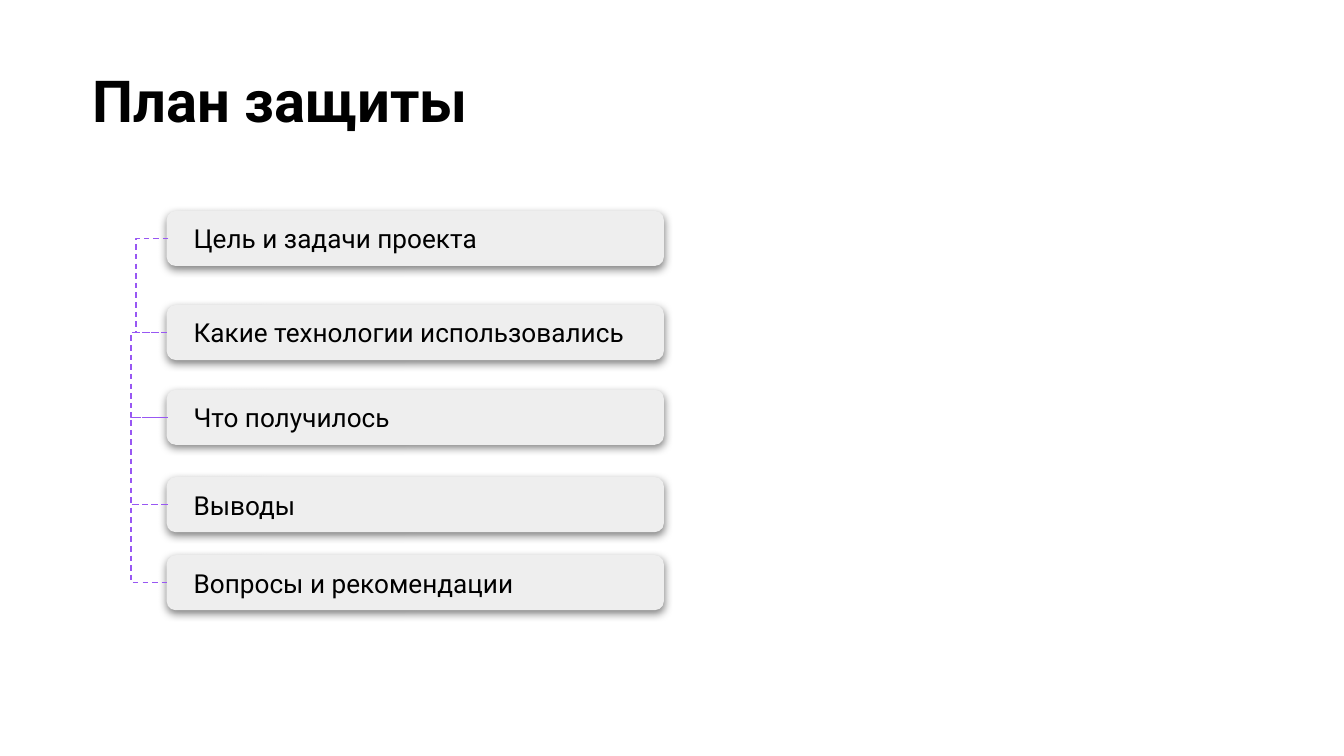
from dataclasses import dataclass
from itertools import pairwise

from lxml import etree
from pptx import Presentation
from pptx import util as u
from pptx.dml import color as c
from pptx.enum import dml, shapes, text
from pptx.oxml import ns, parse_xml


@dataclass(frozen=True)
class Theme:
    """Hold the colours, font and type sizes of the slide."""
    ink: str = "000000"
    card: str = "EEEEEE"
    link: str = "9857F3"
    font: str = "Roboto"
    head: float = 31
    body: float = 14


THEME = Theme()
LEFT, WIDTH, HIGH = 89.3, 266.4, 29.5
STEPS = [
    ("Цель и задачи проекта", 113),
    ("Какие технологии использовались", 163.4),
    ("Что получилось", 208.8),
    ("Выводы", 255.6),
    ("Вопросы и рекомендации", 297.4),
]


def rgb(code):
    """Turn a hex code into a colour."""
    return c.RGBColor.from_string(code)


def write(frame, words, size, side=7.2, bold=False):
    """Put one left-aligned run into a text frame."""
    frame.word_wrap = True
    frame.margin_left = frame.margin_right = u.Pt(side)
    frame.margin_top = frame.margin_bottom = u.Pt(7.2)
    para = frame.paragraphs[0]
    para.alignment = text.PP_ALIGN.LEFT
    run = para.add_run()
    run.text = words
    run.font.name = THEME.font
    run.font.size = u.Pt(size)
    run.font.bold = bold
    run.font.color.rgb = rgb(THEME.ink)


def shade(shape):
    """Give a shape a soft shadow that falls straight down."""
    shape.shadow.inherit = False
    effect = shape._element.spPr.find(ns.qn("a:effectLst"))
    effect.append(parse_xml(
        f'<a:outerShdw {ns.nsdecls("a")} blurRad="{u.Pt(4.5)}" '
        f'dist="{u.Pt(1.5)}" dir="5400000" algn="bl" rotWithShape="0">'
        f'<a:srgbClr val="{THEME.ink}"><a:alpha val="50000"/></a:srgbClr>'
        '</a:outerShdw>'))


def add_title(slide, words):
    """Add the slide heading."""
    box = slide.shapes.add_textbox(u.Pt(42.5), u.Pt(27.4), u.Pt(671), u.Pt(51.8))
    write(box.text_frame, words, THEME.head, bold=True)


def add_card(slide, words, top):
    """Add one rounded step of the plan."""
    card = slide.shapes.add_shape(
        shapes.MSO_SHAPE.ROUNDED_RECTANGLE,
        u.Pt(LEFT), u.Pt(top), u.Pt(WIDTH), u.Pt(HIGH))
    card.fill.solid()
    card.fill.fore_color.rgb = rgb(THEME.card)
    card.line.fill.background()
    shade(card)
    card.text_frame.vertical_anchor = text.MSO_ANCHOR.MIDDLE
    write(card.text_frame, words, THEME.body, side=13)


def add_link(slide, start, end, bend):
    """Join two points with a dashed elbow that turns at the x of bend."""
    link = slide.shapes.add_connector(
        shapes.MSO_CONNECTOR.ELBOW, *(u.Pt(n) for n in start + end))
    link.line.color.rgb = rgb(THEME.link)
    link.line.width = u.Pt(0.75)
    link.line.dash_style = dml.MSO_LINE.DASH
    props = link._element.spPr
    etree.SubElement(props, ns.qn("a:effectLst"))
    ratio = (bend - start[0]) / (end[0] - start[0])
    guides = props.find(ns.qn("a:prstGeom")).get_or_add_avLst()
    etree.SubElement(guides, ns.qn("a:gd"), name="adj1",
                     fmla=f"val {round(ratio * 100000)}")


def main():
    """Build and save the slide."""
    deck = Presentation()
    deck.slide_width, deck.slide_height = u.Pt(720), u.Pt(405)
    slide = deck.slides.add_slide(deck.slide_layouts[6])
    add_title(slide, "План защиты")
    for words, top in STEPS:
        add_card(slide, words, top)
    mids = [top + HIGH / 2 for _, top in STEPS]
    for row, (high, low) in enumerate(pairwise(mids)):
        if row == 0:
            add_link(slide, (LEFT + 1, high), (LEFT, low), 72.7)
        else:
            add_link(slide, (LEFT, high), (LEFT + 0.5, low), 70.6)
    deck.save("out.pptx")


if __name__ == "__main__":
    main()
